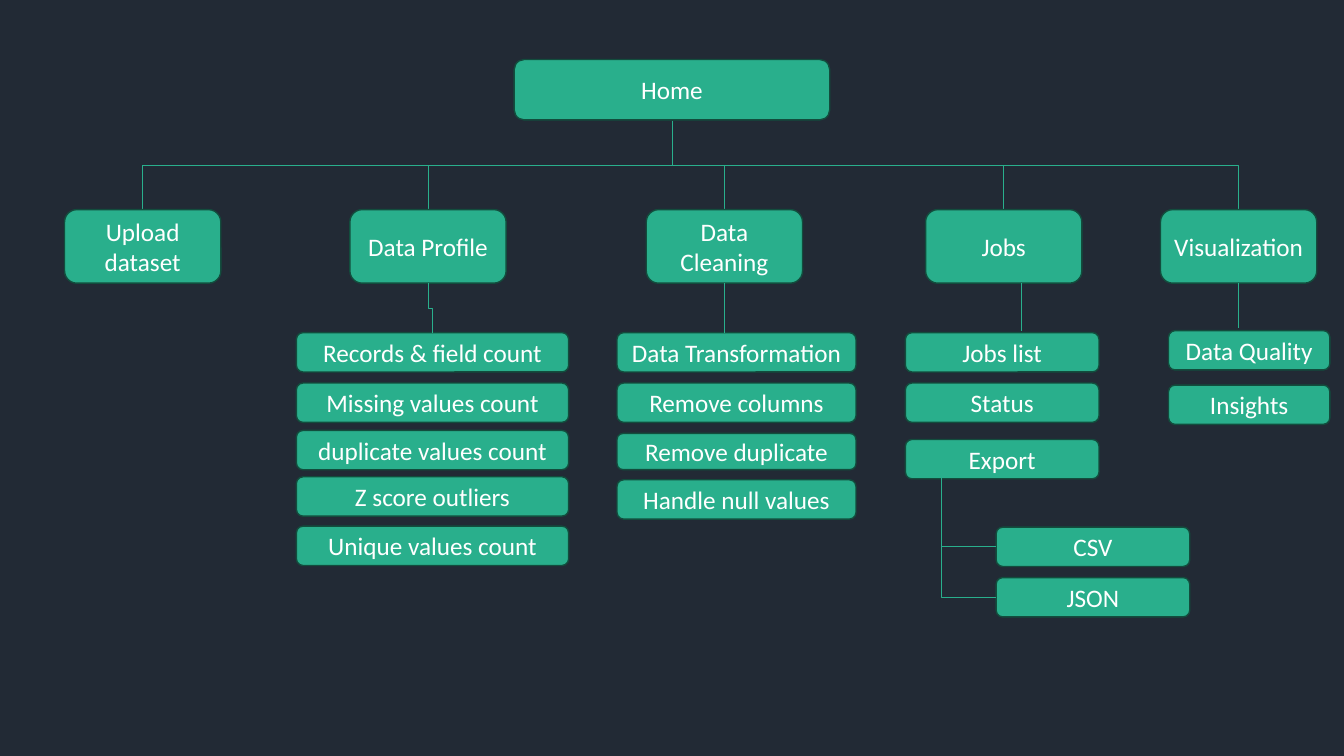
"""Site map: a home page, five sections and their pages."""
from dataclasses import dataclass

import pptx
import pptx.dml.color
import pptx.enum.shapes
import pptx.enum.text
import pptx.oxml
import pptx.util
from pptx.util import Inches

HEX = {"back": "222A35", "box": "29AF8C", "edge": "124D3D", "text": "FFFFFF"}
FONT = {"name": "Calibri", "size": pptx.util.Pt(18)}
FRAME = {"word_wrap": True, "vertical_anchor": pptx.enum.text.MSO_ANCHOR.MIDDLE}
KIND = pptx.enum.shapes.MSO_CONNECTOR

MID, FOOT = 6.67, 1.2  # where the home stem starts
TOP, WIDE, HIGH = 2.08, 1.55, 0.73  # section boxes
BASE = TOP + HIGH
ROW = 0.39  # page box height


@dataclass
class Page:
    """A page box: its text, top and height."""
    text: str
    top: float
    high: float = ROW


@dataclass
class Group:
    """A section box and the column of pages under it."""
    text: str
    left: float
    start: float = 0
    wide: float = 0
    pages: tuple[Page, ...] = ()

    @property
    def mid(self) -> float:
        """Centre of the section box."""
        return self.left + WIDE / 2


GROUPS = (
    Group("Upload dataset", 0.64),
    Group("Data Profile", 3.47, 2.94, 2.7, (
        Page("Records & field count", 3.3), Page("Missing values count", 3.8),
        Page("duplicate values count", 4.27), Page("Z score outliers", 4.73),
        Page("Unique values count", 5.22))),
    Group("Data Cleaning", 6.41, 6.12, 2.37, (
        Page("Data Transformation", 3.3), Page("Remove columns", 3.8),
        Page("Remove duplicate", 4.3, 0.36), Page("Handle null values", 4.76))),
    Group("Jobs", 9.18, 8.98, 1.92, (
        Page("Jobs list", 3.3), Page("Status", 3.8), Page("Export", 4.36))),
    Group("Visualization", 11.51, 11.59, 1.6, (
        Page("Data Quality", 3.28), Page("Insights", 3.82))),
)
FILES = (Page("CSV", 5.23), Page("JSON", 5.73))


def paint(name: str) -> pptx.dml.color.RGBColor:
    """Look up a colour."""
    return pptx.dml.color.RGBColor.from_string(HEX[name])


def apply(thing: object, form: dict) -> None:
    """Set each format value on an object."""
    for name, value in form.items():
        setattr(thing, name, value)


def box(text: str, left: float, top: float, wide: float, high: float) -> None:
    """Draw a rounded box with centred text."""
    shape = slide.shapes.add_shape(
        pptx.enum.shapes.MSO_SHAPE.ROUNDED_RECTANGLE,
        Inches(left), Inches(top), Inches(wide), Inches(high))
    shape.shadow.inherit = False
    shape.fill.solid()
    shape.fill.fore_color.rgb = paint("box")
    shape.line.color.rgb = paint("edge")
    shape.line.width = pptx.util.Pt(1)
    apply(shape.text_frame, FRAME)
    par = shape.text_frame.paragraphs[0]
    par.alignment = pptx.enum.text.PP_ALIGN.CENTER
    run = par.add_run()
    run.text = text
    apply(run.font, FONT)
    run.font.color.rgb = paint("text")


def wire(kind: KIND, x1: float, y1: float, x2: float, y2: float):
    """Draw a thin connector without a shadow."""
    line = slide.shapes.add_connector(
        kind, Inches(x1), Inches(y1), Inches(x2), Inches(y2))
    line.line.color.rgb = paint("box")
    line.line.width = pptx.util.Pt(0.5)
    line._element.spPr.append(pptx.oxml.parse_xml(
        '<a:effectLst xmlns:a="http://schemas.openxmlformats.org/drawingml/2006/main"/>'))
    return line


def elbow(x1: float, y1: float, x2: float, y2: float, bend: int = 3) -> None:
    """Draw an elbow that leaves downwards; bend 2 has a single corner."""
    midx, midy = (x1 + x2) / 2, (y1 + y2) / 2
    halfw, halfh = (y2 - y1) / 2, abs(x2 - x1) / 2  # sides swap when turned
    line = wire(KIND.ELBOW, midx - halfw, midy - halfh, midx + halfw, midy + halfh)
    prop = line._element.spPr
    if x2 > x1:
        turn = {"rot": "16200000", "flipH": "1"}
    else:
        turn = {"rot": "5400000"}
    for name, value in turn.items():
        prop.xfrm.set(name, value)
    prop.prstGeom.set("prst", f"bentConnector{bend}")


deck = pptx.Presentation()
deck.slide_width, deck.slide_height = Inches(13.33), Inches(7.5)
slide = deck.slides.add_slide(deck.slide_layouts[6])
slide.background.fill.solid()
slide.background.fill.fore_color.rgb = paint("back")

box("Home", 5.1, 0.59, 3.13, 0.6)
for group in GROUPS:
    elbow(MID, FOOT, group.mid, TOP)
    box(group.text, group.left, TOP, WIDE, HIGH)
    for page in group.pages:
        box(page.text, group.start, page.top, group.wide, page.high)

upload, data, clean, jobs, visual = GROUPS
elbow(data.mid, BASE, data.start + data.wide / 2, 3.3)
for x, end in ((clean.mid, 3.3), (10.13, 3.28), (visual.mid, 3.25)):
    wire(KIND.STRAIGHT, x, BASE, x, end)

for page in FILES:
    box(page.text, 9.88, page.top, jobs.wide, page.high)
    elbow(9.34, 4.73, 9.88, page.top + ROW / 2, bend=2)

deck.save("out.pptx")
